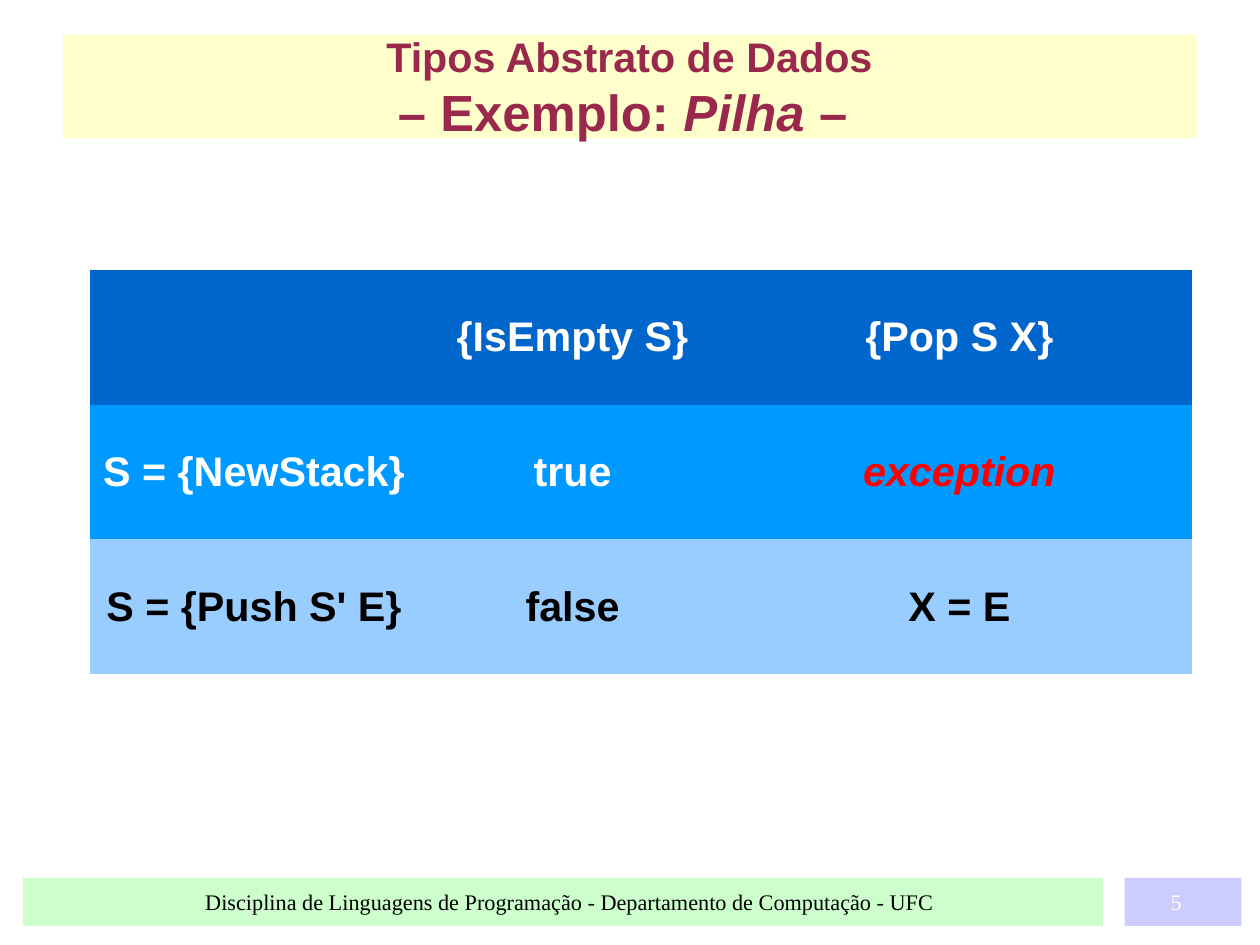
"""Build a slide that tabulates the behaviour of an abstract stack type."""
from lxml.etree import SubElement
from pptx import Presentation
from pptx.dml.color import RGBColor
from pptx.enum.shapes import MSO_SHAPE
from pptx.enum.text import MSO_ANCHOR, MSO_AUTO_SIZE, PP_ALIGN
from pptx.oxml.ns import qn
from pptx.util import Inches, Pt

CM_PER_INCH = 2.54
NO_GRID_STYLE = "{2D5ABB26-0587-4C30-8999-92F81FD0307C}"
COLUMN_WIDTHS = [2.87, 2.7, 4.07]
ROW_HEIGHT = 1.18
STACK_ROWS = [
    ("0066CC", "FFFFFF", ["", "{IsEmpty S}", "{Pop S X}"]),
    ("0099FF", "FFFFFF", ["S = {NewStack}", "true", "exception"]),
    ("99CCFF", "000000", ["S = {Push S' E}", "false", "X = E"]),
]


def paint(fill, color, opacity=None):
    """Fill solidly with a hex colour, optionally at an opacity in percent."""
    fill.solid()
    fill.fore_color.rgb = RGBColor.from_string(color)
    if opacity is not None:
        color_element = fill._xPr.find(f".//{qn('a:srgbClr')}")
        SubElement(color_element, qn("a:alpha"), val=str(opacity * 1000))


def style_font(font, name, size, color, bold=False):
    """Set the typeface, size, colour and weight of a font."""
    font.name = name
    font.size = Pt(size)
    font.bold = bold
    paint(font.fill, color)


def set_frame(frame, left=0, right=0):
    """Centre a text frame vertically and set its side insets."""
    frame.word_wrap = True
    frame.auto_size = MSO_AUTO_SIZE.NONE
    frame.vertical_anchor = MSO_ANCHOR.MIDDLE
    frame.margin_left, frame.margin_right = Inches(left), Inches(right)
    frame.margin_top = frame.margin_bottom = Inches(0)


def format_title(title):
    """Place the title and write its two centred lines."""
    title.left, title.top = Inches(0.55), Inches(0.3)
    title.width, title.height = Inches(9.92), Inches(0.91)
    paint(title.fill, "FFFFCC")
    set_frame(title.text_frame)
    para = title.text_frame.paragraphs[0]
    para.alignment = PP_ALIGN.CENTER
    style_font(para.font, "Arial", 26, "99284C", bold=True)
    para.add_run().text = "Tipos Abstrato de Dados"
    para.add_line_break()
    for text, italic in [("– Exemplo: ", False), ("Pilha", True), (" – ", False)]:
        span = para.add_run()
        span.text = text
        span.font.size = Pt(32)
        span.font.italic = italic


def add_stack_table(page):
    """Add the table of stack operations and their results."""
    frame = page.shapes.add_table(
        len(STACK_ROWS), len(COLUMN_WIDTHS), Inches(0.79), Inches(2.36),
        Inches(sum(COLUMN_WIDTHS)), Inches(ROW_HEIGHT * len(STACK_ROWS)))
    table = frame.table
    table._tbl.tblPr.find(qn("a:tableStyleId")).text = NO_GRID_STYLE
    for column, width in zip(table.columns, COLUMN_WIDTHS):
        column.width = Inches(width)
    for row, (background, color, texts) in zip(table.rows, STACK_ROWS):
        row.height = Inches(ROW_HEIGHT)
        for cell, text in zip(row.cells, texts):
            paint(cell.fill, background)
            cell.vertical_anchor = MSO_ANCHOR.MIDDLE
            cell.text = text
            failed = text == "exception"
            para = cell.text_frame.paragraphs[0]
            para.alignment = PP_ALIGN.CENTER
            para.font.italic = failed
            style_font(para.font, "Arial", 26, "FF0000" if failed else color, bold=True)


def add_footer_box(page, left, width, background, text, color, insets):
    """Add a translucent box with centred text at the foot of the page."""
    box = page.shapes.add_shape(
        MSO_SHAPE.RECTANGLE, Inches(left), Inches(7.68), Inches(width), Inches(0.42))
    box.shadow.inherit = False
    box.line.fill.background()
    paint(box.fill, background, opacity=20)
    set_frame(box.text_frame, *insets)
    para = box.text_frame.paragraphs[0]
    para.text = text
    para.alignment = PP_ALIGN.CENTER
    style_font(para.font, "Times New Roman", 14, color)


def main():
    """Build the deck and save it."""
    deck = Presentation()
    deck.slide_width = Inches(28 / CM_PER_INCH)
    deck.slide_height = Inches(21 / CM_PER_INCH)
    page = deck.slides.add_slide(deck.slide_layouts[5])
    format_title(page.shapes.title)
    add_stack_table(page)
    add_footer_box(
        page, 0.2, 9.45, "00FF00",
        "Disciplina de Linguagens de Programação - Departamento de Computação - UFC",
        "000000", (0.12, 0))
    add_footer_box(page, 9.84, 1.02, "0000FF", "5", "FFFFFF", (0, 0.12))
    deck.save("out.pptx")


if __name__ == "__main__":
    main()
